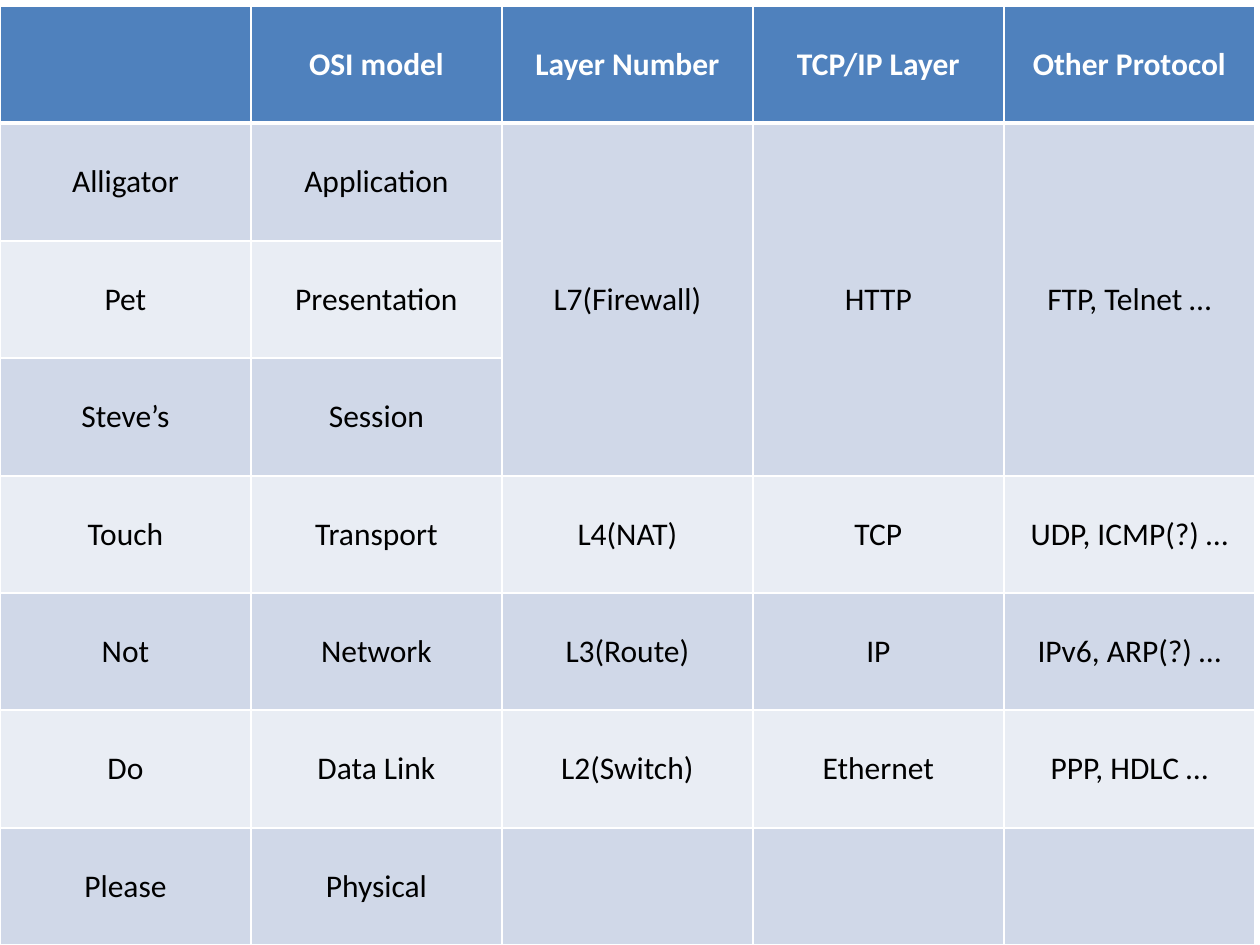
import dataclasses
import typing

import lxml.etree
import pptx
import pptx.dml.color
import pptx.enum.text
import pptx.oxml.ns
import pptx.util

SCALE = 914400 / 126


@dataclasses.dataclass(frozen=True)
class Theme:
    head: str = "4F81BD"
    bands: tuple[str, str] = ("D0D8E8", "E9EDF4")
    white: str = "FFFFFF"
    black: str = "000000"
    font: str = "Calibri"
    size: int = 18
    thin: int = 1
    thick: int = 3


@dataclasses.dataclass(frozen=True)
class Layer:
    word: str
    name: str
    number: str = ""
    suite: str = ""
    other: str = ""
    span: int = 1


THEME = Theme()
LAYERS = [
    Layer("", "OSI model", "Layer Number", "TCP/IP Layer", "Other Protocol"),
    Layer("Alligator", "Application", "L7(Firewall)", "HTTP", "FTP, Telnet …", 3),
    Layer("Pet", "Presentation"),
    Layer("Steve’s", "Session"),
    Layer("Touch", "Transport", "L4(NAT)", "TCP", "UDP, ICMP(?) …"),
    Layer("Not", "Network", "L3(Route)", "IP", "IPv6, ARP(?) …"),
    Layer("Do", "Data Link", "L2(Switch)", "Ethernet", "PPP, HDLC …"),
    Layer("Please", "Physical"),
]
COLS = 5
LEFT, TOP, WIDTH, HEIGHT = 0, 6, 1255, 939


def emu(pixels: int) -> pptx.util.Emu:
    return pptx.util.Emu(round(pixels * SCALE))


def color(code: str) -> pptx.dml.color.RGBColor:
    return pptx.dml.color.RGBColor.from_string(code)


def split(total: int, count: int) -> list[int]:
    edges = [round(total * i / count) for i in range(count + 1)]
    return [end - start for start, end in zip(edges, edges[1:])]


def add_edge(cell: typing.Any, side: str, points: int) -> None:
    props = cell._tc.get_or_add_tcPr()
    tag = pptx.oxml.ns.qn
    line = lxml.etree.SubElement(props, tag(f"a:ln{side}"), w=str(pptx.util.Pt(points)))
    fill = lxml.etree.SubElement(line, tag("a:solidFill"))
    lxml.etree.SubElement(fill, tag("a:srgbClr"), val=THEME.white)


def style_cell(cell: typing.Any, row: int, text: str) -> None:
    head = row == 0
    heavy = {(0, "B"), (1, "T")}
    for side in "LRTB":
        add_edge(cell, side, THEME.thick if (row, side) in heavy else THEME.thin)
    cell.fill.solid()
    cell.fill.fore_color.rgb = color(THEME.head if head else THEME.bands[(row - 1) % 2])
    cell.vertical_anchor = pptx.enum.text.MSO_ANCHOR.MIDDLE
    cell.text_frame.text = text
    para = cell.text_frame.paragraphs[0]
    para.alignment = pptx.enum.text.PP_ALIGN.CENTER
    for run in para.runs:
        run.font.name = THEME.font
        run.font.size = pptx.util.Pt(THEME.size)
        run.font.bold = head
        run.font.color.rgb = color(THEME.white if head else THEME.black)


def add_grid(slide: typing.Any) -> None:
    frame = slide.shapes.add_table(
        len(LAYERS), COLS, emu(LEFT), emu(TOP), emu(WIDTH), emu(HEIGHT)
    )
    table = frame.table
    for col, width in zip(table.columns, split(WIDTH, COLS)):
        col.width = emu(width)
    for row, height in zip(table.rows, split(HEIGHT, len(LAYERS))):
        row.height = emu(height)
    for row, layer in enumerate(LAYERS):
        texts = (layer.word, layer.name, layer.number, layer.suite, layer.other)
        for col, text in enumerate(texts):
            style_cell(table.cell(row, col), row, text)
            if layer.span > 1 and col > 1:
                table.cell(row, col).merge(table.cell(row + layer.span - 1, col))


deck = pptx.Presentation()
deck.slide_width = emu(1260)
deck.slide_height = emu(945)
add_grid(deck.slides.add_slide(deck.slide_layouts[6]))
deck.save("out.pptx")
